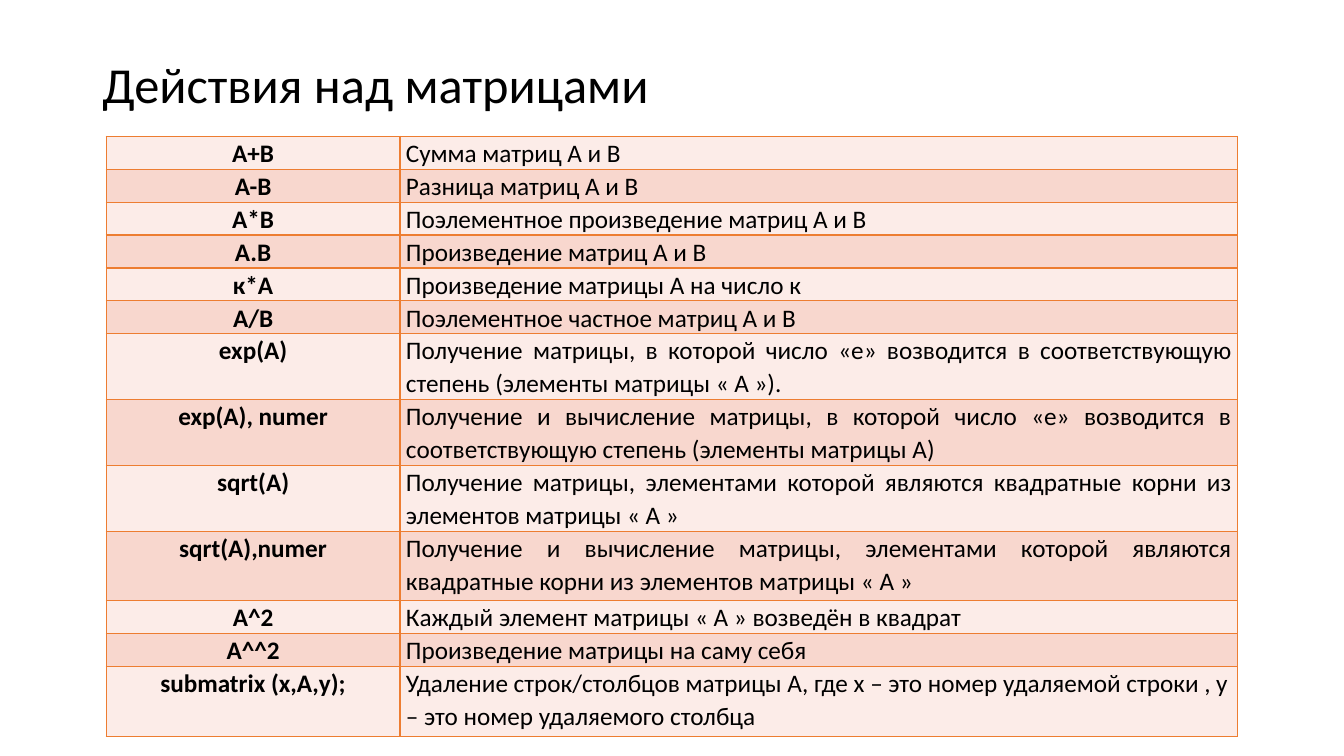
from dataclasses import dataclass

from lxml.etree import SubElement
from pptx import Presentation
from pptx.dml.color import RGBColor
from pptx.enum.text import MSO_ANCHOR, PP_ALIGN
from pptx.oxml.ns import qn
from pptx.util import Pt


@dataclass(frozen=True)
class Theme:
    font: str = "Calibri"
    ink: str = "000000"
    line: str = "ED7D31"
    bands: tuple = ("FCECE8", "F8D7CE")
    head: float = 36
    body: float = 18


ROWS = [
    ("A+B", "Сумма матриц А и В", 23.5),
    ("А-В", "Разница матриц А и В", 23.5),
    ("А*B", "Поэлементное произведение матриц А и В", 23.5),
    ("А.В", "Произведение матриц А и В", 23.5),
    ("к*А", "Произведение матрицы А на число к", 23.5),
    ("А/В", "Поэлементное частное матриц А и В", 23.5),
    ("exp(A)", "Получение матрицы, в которой число «е» возводится в "
     "соответствующую степень (элементы матрицы « A »).", 47),
    ("exp(A), numer", "Получение и вычисление матрицы, в которой число «е» "
     "возводится в соответствующую степень (элементы матрицы А)", 47),
    ("sqrt(A)", "Получение матрицы, элементами которой являются квадратные "
     "корни из элементов матрицы « A »", 47.5),
    ("sqrt(A),numer", "Получение и вычисление матрицы, элементами которой "
     "являются квадратные корни из элементов матрицы « А »", 49),
    ("A^2", "Каждый элемент матрицы « А » возведён в квадрат", 23.5),
    ("A^^2", "Произведение матрицы на саму себя", 23.5),
    ("submatrix (х,А,у);", "Удаление строк/столбцов матрицы A, где x – это "
     "номер удаляемой строки , y – это номер удаляемого столбца", 50),
]
LEFT_ROWS = 2  # closing rows whose description is not justified


class Deck:
    def __init__(self, theme):
        self.theme = theme
        self.prs = Presentation()
        self.prs.slide_width, self.prs.slide_height = Pt(960), Pt(540)
        self.slide = self.prs.slides.add_slide(self.prs.slide_layouts[6])

    def text(self, par, words, size, bold=False):
        run = par.add_run()
        run.text = words
        run.font.name, run.font.size, run.font.bold = self.theme.font, Pt(size), bold
        run.font.color.rgb = RGBColor.from_string(self.theme.ink)

    def title(self, words, left, top, width, height):
        box = self.slide.shapes.add_textbox(Pt(left), Pt(top), Pt(width), Pt(height))
        frame = box.text_frame
        frame.word_wrap = True
        frame.vertical_anchor = MSO_ANCHOR.MIDDLE
        par = frame.paragraphs[0]
        par.line_spacing = 0.9
        self.text(par, words, self.theme.head)

    def border(self, cell):
        props = cell._tc.get_or_add_tcPr()
        for spot, side in enumerate(("a:lnL", "a:lnR", "a:lnT", "a:lnB")):
            line = props.makeelement(qn(side), {"w": str(Pt(1))})
            fill = SubElement(line, qn("a:solidFill"))
            SubElement(fill, qn("a:srgbClr"), val=self.theme.line)
            props.insert(spot, line)

    def cell(self, cell, words, fill, align, bold):
        cell.margin_left = cell.margin_right = Pt(4.3)
        cell.margin_top = cell.margin_bottom = 0
        cell.fill.solid()
        cell.fill.fore_color.rgb = RGBColor.from_string(fill)
        self.border(cell)
        par = cell.text_frame.paragraphs[0]
        par.alignment, par.line_spacing, par.space_after = align, 1.07, Pt(8)
        self.text(par, words, self.theme.body, bold)

    def table(self, rows, left, top, widths):
        high = sum(row[2] for row in rows)
        grid = self.slide.shapes.add_table(
            len(rows), len(widths), Pt(left), Pt(top), Pt(sum(widths)), Pt(high)).table
        grid.first_row = grid.horz_banding = False
        for col, width in zip(grid.columns, widths):
            col.width = Pt(width)
        for i, (term, note, height) in enumerate(rows):
            grid.rows[i].height = Pt(height)
            fill = self.theme.bands[i % 2]
            plain = i >= len(rows) - LEFT_ROWS
            align = PP_ALIGN.LEFT if plain else PP_ALIGN.JUSTIFY
            self.cell(grid.cell(i, 0), term, fill, PP_ALIGN.CENTER, True)
            self.cell(grid.cell(i, 1), note, fill, align, False)


def main():
    deck = Deck(Theme())
    deck.title("Действия над матрицами", 66, 10, 828, 104.4)
    deck.table(ROWS, 75.9, 97.4, (209.8, 598.4))
    deck.prs.save("out.pptx")


if __name__ == "__main__":
    main()
